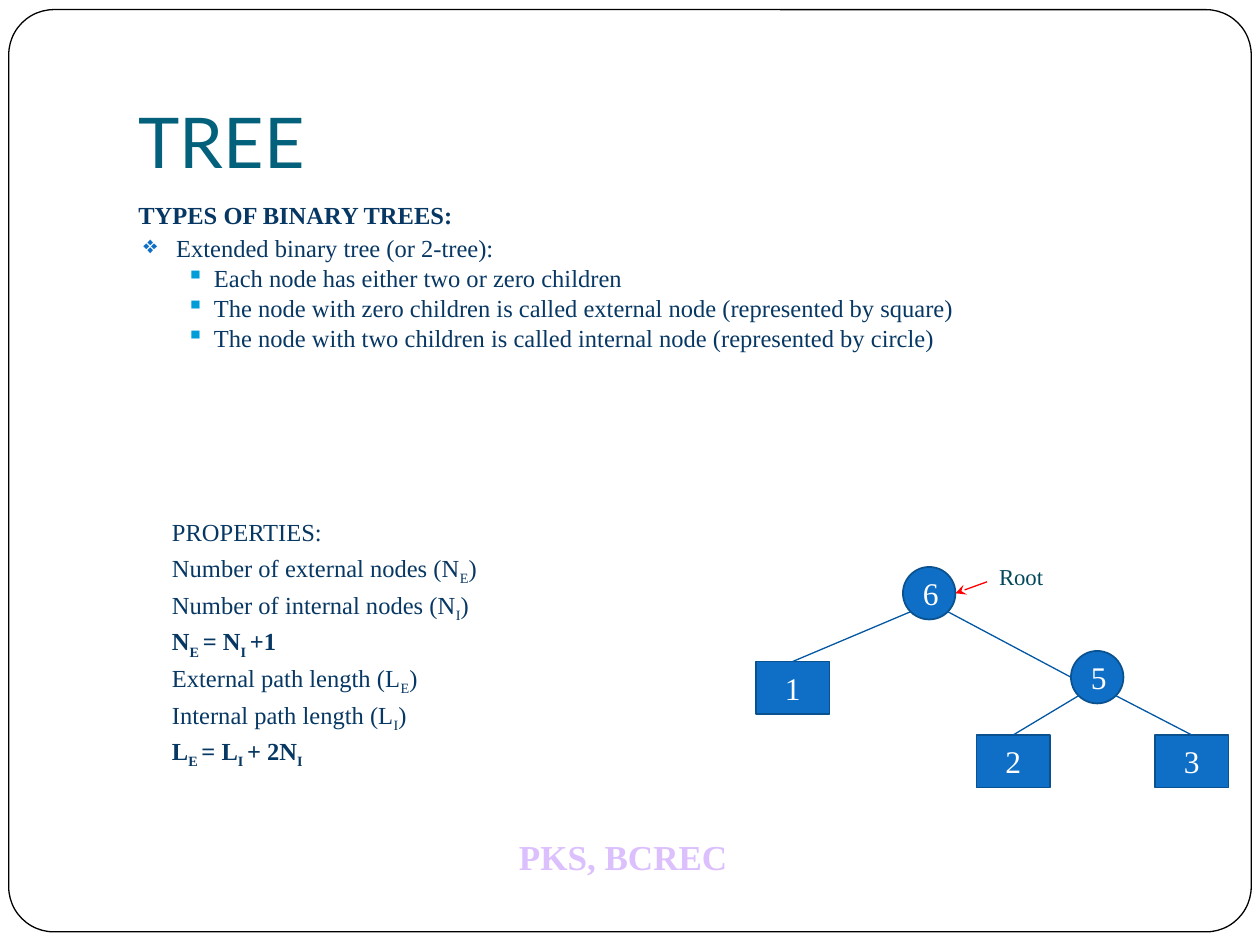
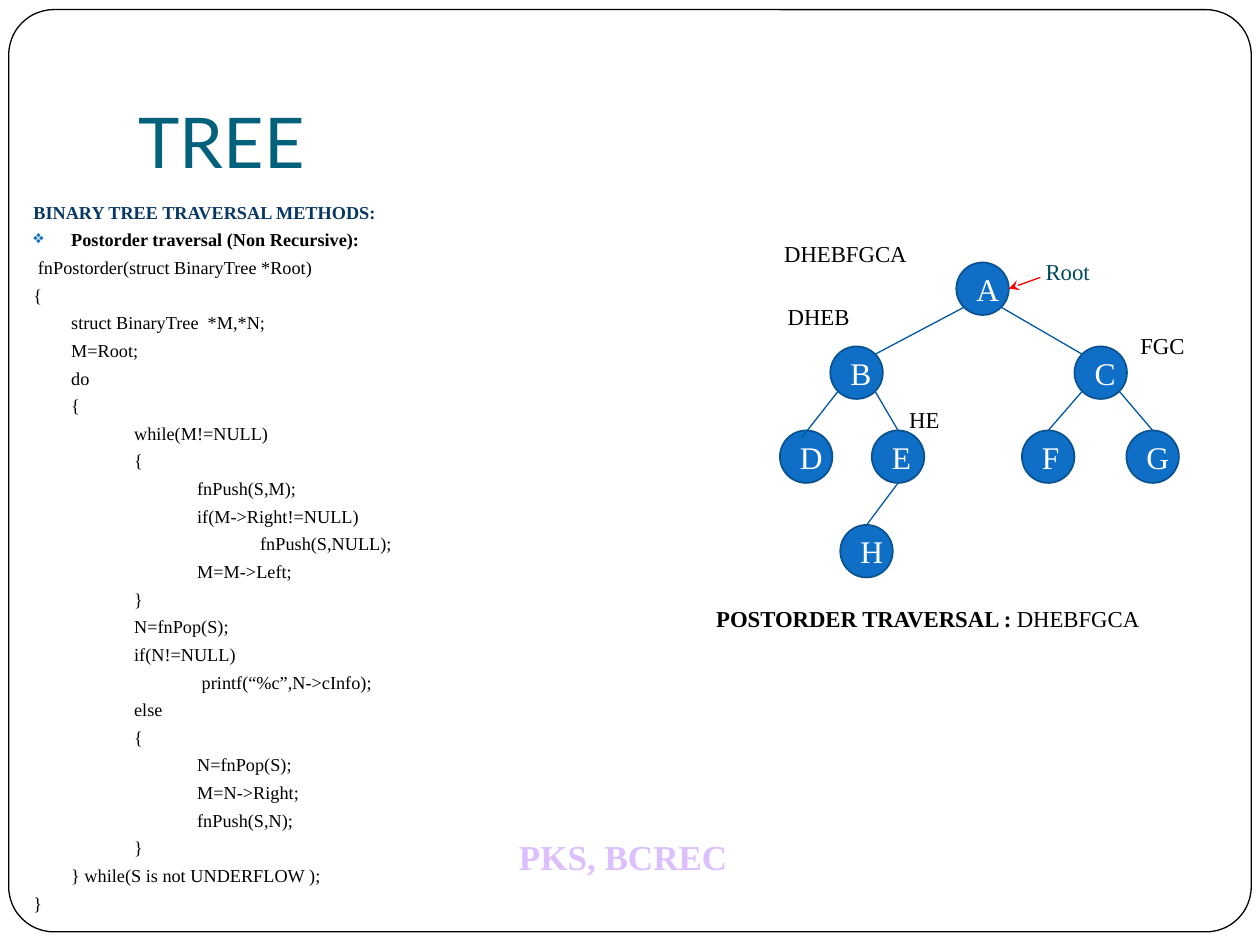
"""Build two lecture slides on binary trees: extended trees and postorder traversal."""
from collections import namedtuple

from lxml.etree import SubElement
from pptx import Presentation
from pptx.dml.color import RGBColor
from pptx.enum.shapes import MSO_CONNECTOR, MSO_SHAPE
from pptx.enum.text import MSO_ANCHOR, MSO_AUTO_SIZE, PP_ALIGN
from pptx.oxml.ns import qn
from pptx.util import Pt

WHITE = RGBColor(0xFF, 0xFF, 0xFF)
BLACK = RGBColor(0x00, 0x00, 0x00)
TEAL = RGBColor(0x04, 0x61, 0x7B)
NAVY = RGBColor(0x07, 0x37, 0x63)
BLUE = RGBColor(0x0F, 0x6F, 0xC6)
CYAN = RGBColor(0x00, 0x9D, 0xD9)
NODE_EDGE = RGBColor(0x0A, 0x51, 0x90)
BRANCH = RGBColor(0x03, 0x57, 0xA3)
ROOT_TEXT = RGBColor(0x02, 0x48, 0x5C)
RED = RGBColor(0xFF, 0x00, 0x00)
LILAC = RGBColor(0xDC, 0xC0, 0xFD)
SERIF = "Times New Roman"
NODE = 30
LEAF_WIDTH = 42

Line = namedtuple("Line", "text bold color indent hang before bullet bullet_color",
                  defaults=(False, BLACK, 0, 0, 0, None, None))
SITES = {"n": (0.5, 0), "s": (0.5, 1), "w": (0, 0.5), "e": (1, 0.5), "nnw": (0.41, 0.14),
         "nw": (0.15, 0.15), "ne": (0.85, 0.15), "sw": (0.15, 0.85), "se": (0.85, 0.85)}


def write(slide, box, lines, size, spacing=1.0):
    """Add a text box; text between underscores is set as subscript."""
    textbox = slide.shapes.add_textbox(*map(Pt, box))
    frame = textbox.text_frame
    frame.word_wrap = True
    for number, line in enumerate(lines):
        paragraph = frame.paragraphs[0] if number == 0 else frame.add_paragraph()
        properties = paragraph._p.get_or_add_pPr()
        properties.set("marL", str(Pt(line.indent)))
        properties.set("indent", str(Pt(-line.hang)))
        if line.bullet:
            color = SubElement(properties, qn("a:buClr"))
            SubElement(color, qn("a:srgbClr")).set("val", str(line.bullet_color))
            SubElement(properties, qn("a:buChar")).set("char", line.bullet)
        paragraph.line_spacing = spacing
        paragraph.space_before = Pt(line.before if number else 0)
        for part, text in enumerate(line.text.split("_")):
            if text:
                run = paragraph.add_run()
                run.text = text
                run.font.name = SERIF
                run.font.size = Pt(size)
                run.font.bold = line.bold
                run.font.color.rgb = line.color
                if part % 2:
                    run._r.get_or_add_rPr().set("baseline", "-25000")
    return textbox


def connect(slide, start, end, color):
    """Add a thin straight line without a shadow."""
    connector = slide.shapes.add_connector(MSO_CONNECTOR.STRAIGHT, *map(Pt, start + end))
    connector.line.color.rgb = color
    connector.line.width = Pt(0.75)
    SubElement(connector._element.spPr, qn("a:effectLst"))
    return connector


prs = Presentation()
prs.slide_width, prs.slide_height = Pt(720), Pt(540)
layout = prs.slide_layouts[5]
for unused in list(layout.placeholders)[1:]:
    unused.element.getparent().remove(unused.element)
slides = [prs.slides.add_slide(layout) for _ in range(2)]
types_slide, traversal_slide = slides

border = types_slide.shapes.add_shape(MSO_SHAPE.ROUNDED_RECTANGLE, Pt(5), Pt(5.5), Pt(710), Pt(527))
border.adjustments[0] = 0.049
border.shadow.inherit = False
border.fill.solid()
border.fill.fore_color.rgb = WHITE
border.line.color.rgb = BLACK
border.line.width = Pt(0.75)
credit = write(types_slide, (289.5, 474, 160.5, 32), [Line("PKS, BCREC", True, LILAC)], 20)
for position, shared in enumerate((border, credit), 2):
    layout.shapes.element.insert(position, shared.element)

for slide in slides:
    title = slide.shapes.title
    title.left, title.top, title.width, title.height = Pt(72), Pt(21.6), Pt(612), Pt(90)
    heading = title.text_frame
    heading.auto_size = MSO_AUTO_SIZE.NONE
    heading.vertical_anchor = MSO_ANCHOR.BOTTOM
    heading.margin_bottom = Pt(7.2)
    heading.paragraphs[0].alignment = PP_ALIGN.LEFT
    run = heading.paragraphs[0].add_run()
    run.text = "TREE"
    run.font.name = "Lato"
    run.font.size = Pt(40)
    run.font.color.rgb = TEAL

facts = ["Each node has either two or zero children",
         "The node with zero children is called external node (represented by square)",
         "The node with two children is called internal node (represented by circle)"]
write(types_slide, (72, 113.8, 612, 186), [
    Line("TYPES OF BINARY TREES:", True, NAVY, 21.6, 21.6),
    Line("Extended binary tree (or 2-tree):", False, NAVY, 21.6, 18.7, 5.8, "❖", BLUE),
    *[Line(fact, False, NAVY, 43.2, 15.8, 3.7, "▪", CYAN) for fact in facts],
], 14, 0.8)

laws = ["PROPERTIES:", "Number of external nodes (N_E_)", "Number of internal nodes (N_I_)",
        "N_E _= N_I _+1", "External path length (L_E_)", "Internal path length (L_I_)",
        "L_E _= L_I _+ 2N_I_"]
write(types_slide, (66, 294, 337, 210),
      [Line(law, "=" in law, NAVY, 43.2, 18, 3.7) for law in laws], 14, 0.9)

code = """ fnPostorder(struct BinaryTree *Root)
{
\tstruct BinaryTree  *M,*N;
\tM=Root;
\tdo
\t{
\t\twhile(M!=NULL)
\t\t{
\t\t\tfnPush(S,M);
\t\t\tif(M->Right!=NULL)
\t\t\t\tfnPush(S,NULL);
\t\t\tM=M->Left;
\t\t}
\t\tN=fnPop(S);
\t\tif(N!=NULL)
\t\t\t printf(“%c”,N->cInfo);
\t\telse
\t\t{
\t\t\tN=fnPop(S);
\t\t\tM=N->Right;
\t\t\tfnPush(S,N);
\t\t}
\t} while(S is not UNDERFLOW );
}"""
write(traversal_slide, (12, 113.8, 414, 426), [
    Line("BINARY TREE TRAVERSAL METHODS:", True, NAVY, 21.6, 21.6),
    Line("Postorder traversal (Non Recursive):", True, BLACK, 21.6, 21.6, 5.8, "❖", BLUE),
    *[Line(statement, False, BLACK, 21.6, 21.6, 5.8) for statement in code.split("\n")],
], 10.4, 0.8)

extended_tree = {"6": (516, 324), "5": (612, 372), "1": (432, 378), "2": (558, 420), "3": (660, 420)}
extended_edges = ["6 sw 1 n", "6 se 5 w", "5 sw 2 n", "5 se 3 n"]
traversed_tree = {"A": (546.5, 150), "B": (474.5, 198), "C": (614, 198), "D": (445.7, 246),
                  "E": (498.2, 246), "H": (480.2, 300), "F": (584, 246), "G": (643.7, 246)}
traversed_edges = ["A sw B ne", "A se C nw", "B sw D nnw", "B se E n", "E s H n", "C sw F n", "C se G n"]

for slide, tree, edges, root, root_label_left in (
        (types_slide, extended_tree, extended_edges, "6", 563.8),
        (traversal_slide, traversed_tree, traversed_edges, "A", 590.4)):
    widths = {name: LEAF_WIDTH if name in "123" else NODE for name in tree}
    for name, (left, top) in tree.items():
        outline = MSO_SHAPE.RECTANGLE if name in "123" else MSO_SHAPE.OVAL
        node = slide.shapes.add_shape(outline, Pt(left), Pt(top), Pt(widths[name]), Pt(NODE))
        node.shadow.inherit = False
        node.fill.solid()
        node.fill.fore_color.rgb = BLUE
        node.line.color.rgb = NODE_EDGE
        node.line.width = Pt(1)
        run = node.text_frame.paragraphs[0].add_run()
        run.text = name
        run.font.name = SERIF
        run.font.size = Pt(18)
        run.font.color.rgb = WHITE
    for edge in edges:
        parent, parent_site, child, child_site = edge.split()
        start, end = [(tree[name][0] + SITES[site][0] * widths[name],
                       tree[name][1] + SITES[site][1] * NODE)
                      for name, site in ((parent, parent_site), (child, child_site))]
        connect(slide, start, end, BRANCH)
    root_left, root_top = tree[root]
    write(slide, (root_label_left, root_top - 6, 47.5, 29), [Line("Root", color=ROOT_TEXT)], 13)
    tip = (root_left + NODE, root_top + NODE / 2)
    pointer = connect(slide, (tip[0] + 18, tip[1] - 6.5), tip, RED)
    SubElement(pointer.line._get_or_add_ln(), qn("a:tailEnd")).set("type", "stealth")

for visited, left, top, width in (("FGC", 644.5, 185.8, 52), ("HE", 512.5, 228.2, 42),
                                  ("DHEB", 443, 169.2, 62), ("DHEBFGCA", 441, 133.2, 104)):
    write(traversal_slide, (left, top, width, 29), [Line(visited)], 13)

result = write(traversal_slide, (402.2, 342, 313, 29), [Line("POSTORDER TRAVERSAL :", True)], 13)
order = result.text_frame.paragraphs[0].add_run()
order.text = " DHEBFGCA"
order.font.name = SERIF
order.font.size = Pt(13)
order.font.color.rgb = BLACK

prs.save("out.pptx")
